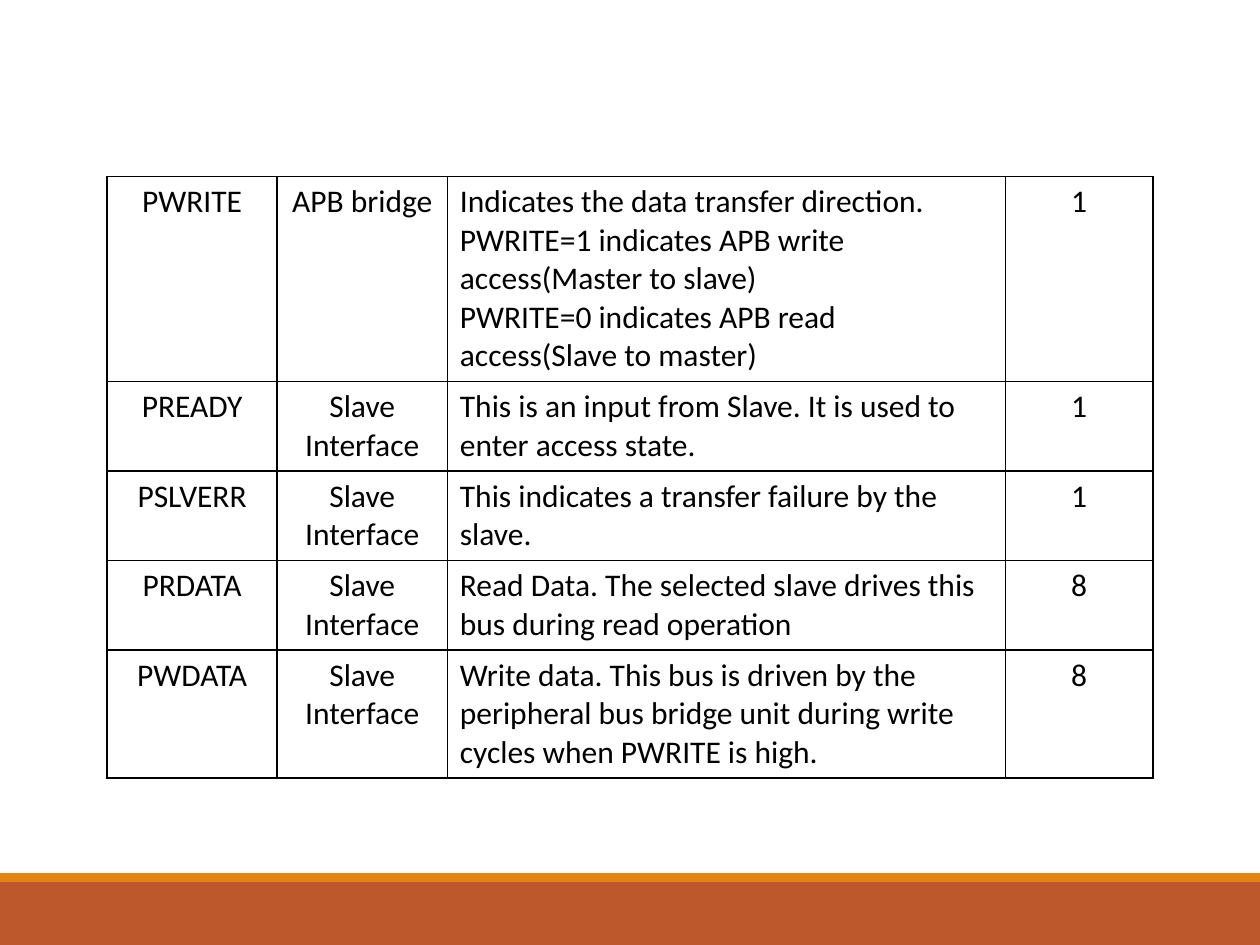
from dataclasses import dataclass

from lxml import etree
from pptx import Presentation
from pptx import util as u
from pptx.dml.color import RGBColor
from pptx.enum import shapes, text
from pptx.oxml import ns


@dataclass(frozen=True)
class Theme:
    font: str = "Calibri"
    size: int = 18
    ink: str = "000000"
    paper: str = "FFFFFF"
    footer: str = "BD582C"
    accent: str = "E48312"
    border: float = 1


COLUMN_WIDTHS = (1.35, 1.35, 4.43, 1.17)
ROW_HEIGHTS = (1.38, 0.6, 0.6, 0.6, 0.86)
CENTER, LEFT = text.PP_ALIGN.CENTER, text.PP_ALIGN.LEFT
ALIGNMENTS = (CENTER, CENTER, LEFT, CENTER)

SIGNALS = (
    ("PWRITE", "APB bridge",
     "Indicates the data transfer direction.\n"
     "PWRITE=1 indicates APB write access(Master to slave)\n"
     "PWRITE=0 indicates APB read access(Slave to master)", "1"),
    ("PREADY", "Slave Interface",
     "This is an input from Slave. It is used to enter access state.", "1"),
    ("PSLVERR", "Slave Interface",
     "This indicates a transfer failure by the slave.", "1"),
    ("PRDATA", "Slave Interface",
     "Read Data. The selected slave drives this bus during read operation", "8"),
    ("PWDATA", "Slave Interface",
     "Write data. This bus is driven by the peripheral bus bridge unit "
     "during write cycles when PWRITE is high.", "8"),
)


class PageBuilder:
    def __init__(self, page, theme):
        self.page = page
        self.theme = theme

    def band(self, top, height, color):
        """Draw a full-width bar without an outline."""
        bar = self.page.shapes.add_shape(
            shapes.MSO_SHAPE.RECTANGLE, 0, u.Inches(top), u.Inches(10), u.Inches(height))
        bar.shadow.inherit = False
        bar.fill.solid()
        bar.fill.fore_color.rgb = RGBColor.from_string(color)
        bar.line.fill.background()

    def table(self, left, top, rows, widths, heights, alignments):
        frame = self.page.shapes.add_table(
            len(rows), len(widths), u.Inches(left), u.Inches(top),
            u.Inches(sum(widths)), u.Inches(sum(heights)))
        grid = frame.table
        for name, value in {"first_row": False, "horz_banding": False}.items():
            setattr(grid, name, value)
        for column, width in zip(grid.columns, widths):
            column.width = u.Inches(width)
        for row, height, values in zip(grid.rows, heights, rows):
            row.height = u.Inches(height)
            for cell, value, alignment in zip(row.cells, values, alignments):
                self.cell(cell, value, alignment)

    def cell(self, cell, value, alignment):
        cell.text = value
        cell.fill.solid()
        cell.fill.fore_color.rgb = RGBColor.from_string(self.theme.paper)
        font_format = {"name": self.theme.font, "size": u.Pt(self.theme.size), "bold": False}
        for para in cell.text_frame.paragraphs:
            para.alignment = alignment
            for span in para.runs:
                for name, setting in font_format.items():
                    setattr(span.font, name, setting)
                span.font.color.rgb = RGBColor.from_string(self.theme.ink)
        self.borders(cell)

    def borders(self, cell):
        properties = cell._tc.get_or_add_tcPr()
        for index, side in enumerate(("lnL", "lnR", "lnT", "lnB")):
            line = etree.Element(ns.qn(f"a:{side}"), w=str(u.Pt(self.theme.border)))
            fill = etree.SubElement(line, ns.qn("a:solidFill"))
            etree.SubElement(fill, ns.qn("a:srgbClr"), val=self.theme.ink)
            properties.insert(index, line)


def main():
    deck = Presentation()
    deck.slide_width, deck.slide_height = u.Inches(10), u.Inches(7.5)
    theme = Theme()
    builder = PageBuilder(deck.slides.add_slide(deck.slide_layouts[6]), theme)
    builder.band(7, 0.5, theme.footer)
    builder.band(6.93, 0.07, theme.accent)
    builder.table(0.85, 1.4, SIGNALS, COLUMN_WIDTHS, ROW_HEIGHTS, ALIGNMENTS)
    deck.save("out.pptx")


if __name__ == "__main__":
    main()
